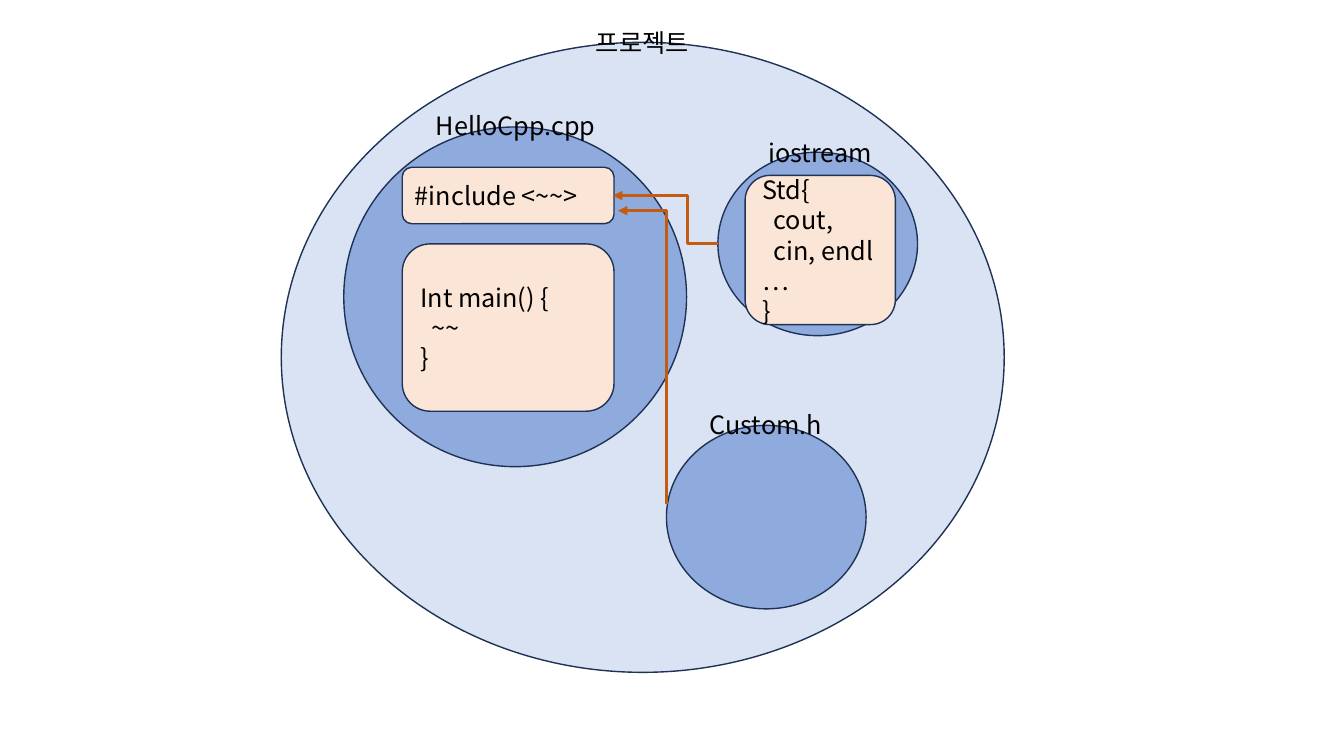
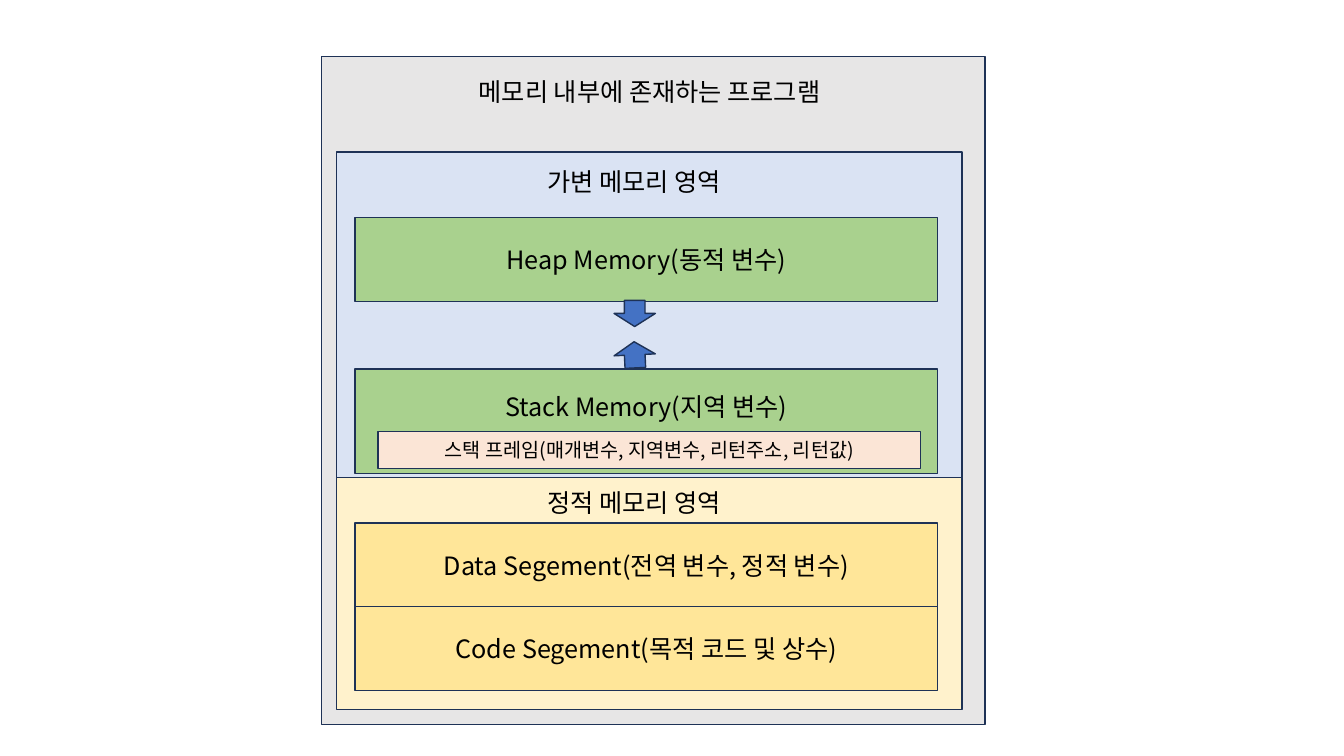
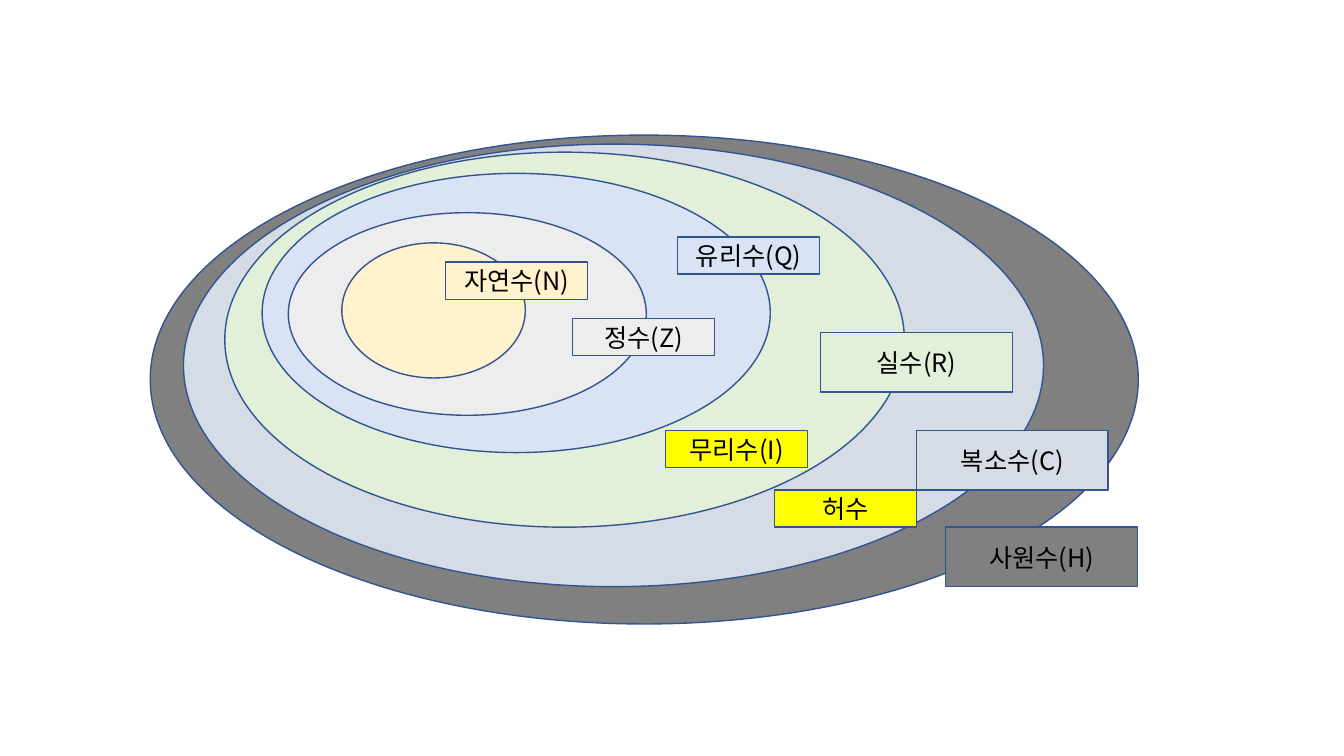
from lxml import etree
from pptx import Presentation
from pptx.dml.color import RGBColor
from pptx.enum import shapes, text
from pptx.oxml import ns
from pptx.util import Inches, Pt

FONT = "Noto Sans CJK KR"
COLORS = {
    "ink": "000000", "navy": "1E3256", "blue line": "325491",
    "pale blue": "DAE3F3", "mid blue": "8FAADC", "blue": "4472C4",
    "peach": "FBE5D6", "orange": "C55A11", "green": "A9D18E",
    "pale green": "E2F0D9", "cream": "FFF2CC", "sand": "FFE699",
    "light gray": "E7E6E6", "pale gray": "EDEDED", "slate": "D6DCE5",
    "gray": "808080", "yellow": "FFFF00",
}
SHAPE = shapes.MSO_SHAPE
CENTER, LEFT = text.PP_ALIGN.CENTER, text.PP_ALIGN.LEFT
TOP, MIDDLE = text.MSO_ANCHOR.TOP, text.MSO_ANCHOR.MIDDLE


def write(frame, content, size=18, align=CENTER, anchor=TOP, bottom=0.05):
    """Fill a text frame; \\n starts a paragraph and \\v breaks a line."""
    frame.word_wrap = True
    frame.vertical_anchor = anchor
    frame.margin_bottom = Inches(bottom)
    frame.text = content
    for paragraph in frame.paragraphs:
        paragraph.alignment = align
        for run in paragraph.runs:
            run.font.size = Pt(size)
            run.font.color.rgb = RGBColor.from_string(COLORS["ink"])
            run.font.name = FONT
            east_asian = etree.SubElement(run.font._element, ns.qn("a:ea"))
            east_asian.set("typeface", FONT)


def add_block(slide, kind, box, fill, content="", line="navy", **style):
    block = slide.shapes.add_shape(kind, *map(Inches, box))
    block.shadow.inherit = False
    block.fill.solid()
    block.fill.fore_color.rgb = RGBColor.from_string(COLORS[fill])
    block.line.color.rgb = RGBColor.from_string(COLORS[line])
    block.line.width = Pt(1)
    if content:
        write(block.text_frame, content, anchor=MIDDLE, **style)
    return block


deck = Presentation()
deck.slide_width, deck.slide_height = Inches(13.33), Inches(7.5)
project, memory, numbers = (
    deck.slides.add_slide(deck.slide_layouts[6]) for _ in range(3))

# Project files and their includes
for box, fill, label, label_box in [
    ((2.79, 0.42, 7.17, 6.25), "pale blue", "프로젝트", (5.2, 0.22, 2.34, 0.4)),
    ((3.41, 1.26, 3.4, 3.37), "mid blue", "HelloCpp.cpp", (4.17, 1.05, 1.89, 0.4)),
    ((7.12, 1.51, 1.98, 1.82), "mid blue", "iostream", (7.44, 1.31, 1.39, 0.4)),
    ((6.61, 4.22, 1.98, 1.82), "mid blue", "Custom.h", (6.9, 4.01, 1.39, 0.4)),
]:
    add_block(project, SHAPE.OVAL, box, fill)
    write(project.shapes.add_textbox(*map(Inches, label_box)).text_frame, label)

for box, code in [
    ((3.99, 2.42, 2.1, 1.66), "Int main() {\v  ~~\v}"),
    ((3.99, 1.66, 2.1, 0.56), "#include <~~>"),
    ((7.39, 1.74, 1.49, 1.48), "Std{\n  cout,\v  cin, endl …\n}"),
]:
    add_block(project, SHAPE.ROUNDED_RECTANGLE, box, "peach", code, align=LEFT)

# The bend is the share of the width passed before the connector turns
for ends, bend in [((7.12, 2.42, 6.08, 1.94), 0.29), ((6.61, 5, 6.13, 2.09), 0)]:
    include = project.shapes.add_connector(
        shapes.MSO_CONNECTOR.ELBOW, *map(Inches, ends))
    include.line.color.rgb = RGBColor.from_string(COLORS["orange"])
    include.line.width = Pt(2.25)
    properties = include._element.spPr
    etree.SubElement(include.line._get_or_add_ln(), ns.qn("a:tailEnd"), type="triangle")
    etree.SubElement(properties, ns.qn("a:effectLst"))
    adjustments = properties.find(ns.qn("a:prstGeom")).get_or_add_avLst()
    etree.SubElement(adjustments, ns.qn("a:gd"), name="adj1",
                     fmla=f"val {round(bend * 100000)}")

# Memory layout of a program
for box, fill in [
    ((3.19, 0.56, 6.58, 6.63), "light gray"),
    ((3.34, 4.74, 6.2, 2.3), "cream"),
    ((3.34, 1.51, 6.2, 3.23), "pale blue"),
]:
    add_block(memory, SHAPE.RECTANGLE, box, fill)

for top, height, fill, segment, bottom in [
    (2.16, 0.83, "green", "Heap Memory(동적 변수)", 0.05),
    (3.66, 1.04, "green", "Stack Memory(지역 변수)", 0.35),
    (5.19, 0.83, "sand", "Data Segement(전역 변수, 정적 변수)", 0.05),
    (6.02, 0.83, "sand", "Code Segement(목적 코드 및 상수)", 0.05),
]:
    add_block(memory, SHAPE.RECTANGLE, (3.52, top, 5.78, height), fill, segment,
              bottom=bottom)
add_block(memory, SHAPE.RECTANGLE, (3.75, 4.28, 5.38, 0.37), "peach",
          "스택 프레임(매개변수, 지역변수, 리턴주소, 리턴값)", size=14)

for left, top, width, region in [
    (4.65, 0.71, 4.04, "메모리 내부에 존재하는 프로그램"),
    (5.33, 1.6, 2.51, "가변 메모리 영역"),
    (5.33, 4.79, 2.83, "정적 메모리 영역"),
]:
    region_box = memory.shapes.add_textbox(*map(Inches, (left, top, width, 0.4)))
    write(region_box.text_frame, region, align=LEFT)

for top, turn in [(2.98, 0), (3.39, 177.3)]:
    growth = add_block(memory, SHAPE.DOWN_ARROW, (6.09, top, 0.41, 0.26), "blue")
    growth.rotation = turn

# Number systems, from the widest set inwards
WIDE, NARROW = (1.9, 0.59), (1.41, 0.37)
for oval, fill, name, corner, size in [
    ((1.49, 1.34, 9.8, 4.85), "gray", "사원수(H)", (9.38, 5.23), WIDE),
    ((1.82, 1.43, 8.53, 4.39), "slate", "복소수(C)", (9.09, 4.27), WIDE),
    ((2.23, 1.51, 6.74, 3.72), "pale green", "실수(R)", (8.14, 3.3), WIDE),
    ((2.6, 1.72, 5.04, 2.77), "pale blue", "유리수(Q)", (6.72, 2.35), NARROW),
    ((2.86, 2.11, 3.55, 2.01), "pale gray", "정수(Z)", (5.68, 3.16), NARROW),
    ((3.39, 2.41, 1.82, 1.34), "cream", "자연수(N)", (4.42, 2.6), NARROW),
    (None, "yellow", "무리수(I)", (6.6, 4.27), NARROW),
    (None, "yellow", "허수", (7.68, 4.86), NARROW),
]:
    if oval:
        add_block(numbers, SHAPE.OVAL, oval, fill, line="blue line")
    add_block(numbers, SHAPE.RECTANGLE, corner + size, fill, name, line="blue line")

deck.save("out.pptx")
